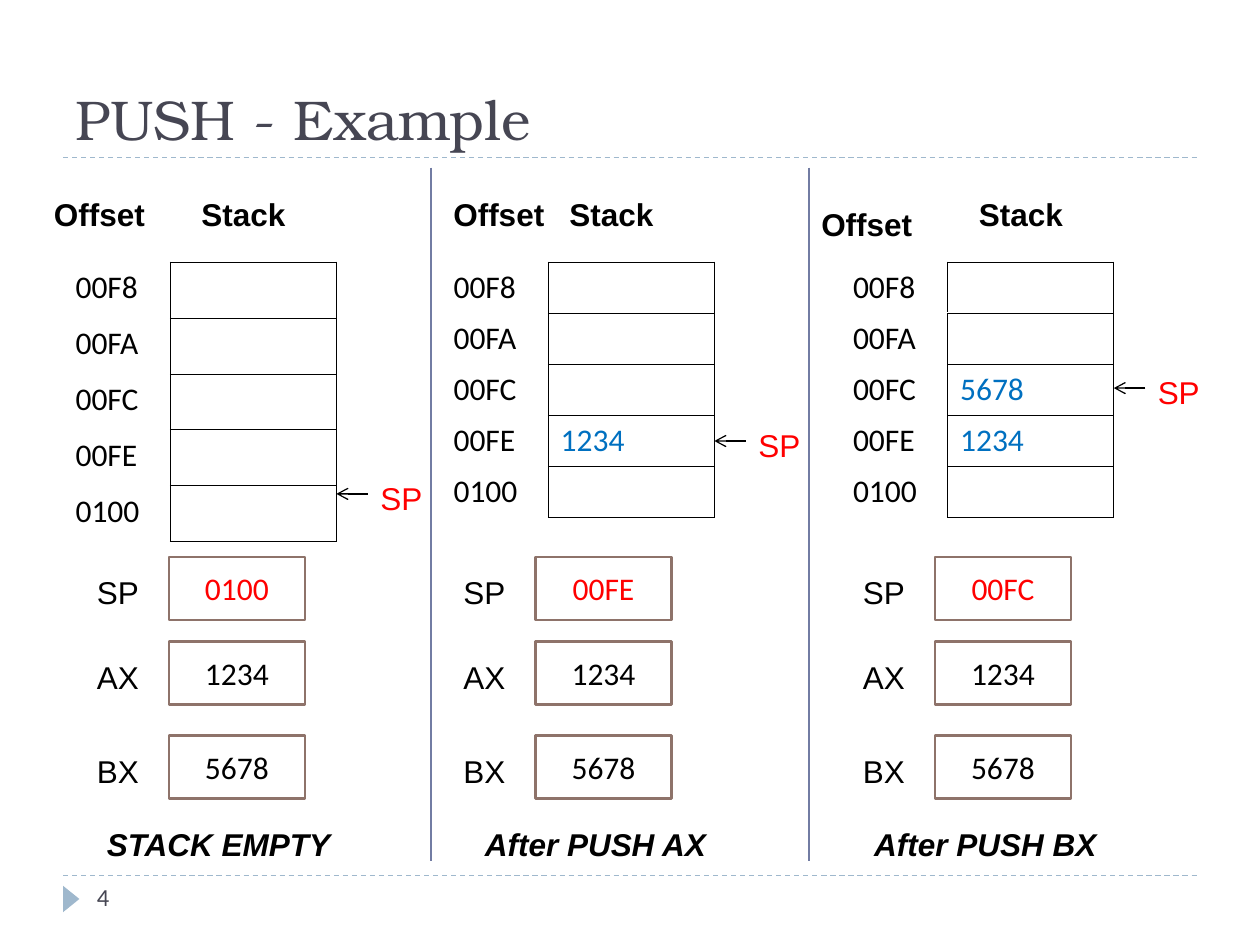
from dataclasses import dataclass, field

from lxml import etree
from pptx import Presentation
from pptx.dml.color import RGBColor
from pptx.enum import dml, shapes, text
from pptx.oxml import ns
from pptx.util import Inches, Pt

BLACK = RGBColor(0x00, 0x00, 0x00)
WHITE = RGBColor(0xFF, 0xFF, 0xFF)
RED = RGBColor(0xFF, 0x00, 0x00)
BLUE = RGBColor(0x00, 0x70, 0xC0)
SLATE = RGBColor(0x46, 0x46, 0x53)
SKY = RGBColor(0x9F, 0xB8, 0xCD)
INDIGO = RGBColor(0x72, 0x7C, 0xA3)
BROWN = RGBColor(0x8E, 0x73, 0x6A)

OFFSETS = ["00F8", "00FA", "00FC", "00FE", "0100"]


@dataclass
class Panel:
    """One stage of the stack and the places of its parts."""
    caption: str
    left: float
    registers_dx: float
    caption_dx: float
    offset_dx: float
    stack_dx: float
    sp: str
    sp_y: float
    row_height: float = 0.406
    heading_y: float = 1.5
    stack: dict = field(default_factory=dict)


PANELS = [
    Panel("STACK EMPTY", 0.5, 0.17, 0.25, -0.17, 1, "0100", 3.92, row_height=0.444),
    Panel("After PUSH AX", 3.5, 0.08, 0.25, 0, 0.92, "00FE", 3.5,
          stack={"00FE": "1234"}),
    Panel("After PUSH BX", 6.67, 0.08, 0.17, -0.25, 1, "00FC", 3.08, heading_y=1.58,
          stack={"00FC": "5678", "00FE": "1234"}),
]


def write(tf, words, font="Arial", size=18, color=BLACK, bold=False, italic=False):
    """Put one formatted line into a text frame."""
    tf.text = words
    f = tf.paragraphs[0].runs[0].font
    f.name, f.size, f.bold, f.italic = font, Pt(size), bold, italic
    f.color.rgb = color


def add_label(parent, words, x, y, w, h=0.4, anchor=text.MSO_ANCHOR.TOP, **style):
    """Add a wrapped text box."""
    tf = parent.add_textbox(Inches(x), Inches(y), Inches(w), Inches(h)).text_frame
    tf.word_wrap = True
    tf.vertical_anchor = anchor
    write(tf, words, **style)


def add_line(parent, x1, y1, x2, y2, color, dashed=False, arrow=False):
    """Add a thin straight line, dashed or with an arrowhead at its end."""
    c = parent.add_connector(shapes.MSO_CONNECTOR.STRAIGHT,
                             Inches(x1), Inches(y1), Inches(x2), Inches(y2))
    c.line.color.rgb = color
    c.line.width = Pt(0.75)
    if dashed:
        c.line.dash_style = dml.MSO_LINE.DASH
    if arrow:
        etree.SubElement(c.line._get_or_add_ln(), ns.qn("a:tailEnd"), type="arrow")
    etree.SubElement(c._element.spPr, ns.qn("a:effectLst"))


def add_border(cell, sides):
    """Draw thin black borders on the given sides of a cell."""
    tc_pr = cell._tc.get_or_add_tcPr()
    for i, side in enumerate(sides):
        ln = etree.Element(ns.qn(f"a:ln{side}"), w=str(Pt(0.45)))
        fill = etree.SubElement(ln, ns.qn("a:solidFill"))
        etree.SubElement(fill, ns.qn("a:srgbClr"), val=str(BLACK))
        tc_pr.insert(i, ln)


def add_frame(s, x, y, w, h):
    """Add the title, the dashed rules and the page mark within a box."""
    add_label(s.shapes, "PUSH - Example", x, y, w, 1.08, text.MSO_ANCHOR.BOTTOM,
              font="TeX Gyre Bonum", size=32, color=SLATE)
    bottom = y + h
    for rule_y in (y + 1.08, bottom):
        add_line(s.shapes, x, rule_y, x + w, rule_y, SKY, dashed=True)
    sp = s.shapes.add_shape(shapes.MSO_SHAPE.ISOSCELES_TRIANGLE, Inches(x - 0.04),
                            Inches(bottom + 0.12), Inches(0.21), Inches(0.13))
    sp.rotation = 90
    sp.shadow.inherit = False
    sp.fill.solid()
    sp.fill.fore_color.rgb = SKY
    sp.line.fill.background()
    add_label(s.shapes, "4", x + 0.17, bottom, 2.17, font="Calibri", size=14, color=SLATE)


def add_stack(s, panel, x, y):
    """Add the table of offsets and stack words."""
    tbl = s.shapes.add_table(len(OFFSETS), 2, Inches(x), Inches(y), Inches(2.17),
                             Inches(panel.row_height * len(OFFSETS))).table
    tbl.first_row = tbl.horz_banding = False
    for col, width in zip(tbl.columns, (0.85, 1.32)):
        col.width = Inches(width)
    for row, offset in zip(tbl.rows, OFFSETS):
        name, value = row.cells
        for cell, sides in ((name, "R"), (value, "LRTB")):
            cell.fill.background()
            add_border(cell, sides)
        write(name.text_frame, offset, font="Calibri")
        if offset in panel.stack:
            write(value.text_frame, panel.stack[offset], font="Calibri", color=BLUE)


def add_registers(s, sp_value, x, y):
    """Add the grouped register names and their value boxes."""
    group = s.shapes.add_group_shape().shapes
    rows = [("SP", sp_value, 0, 0.08, RED), ("AX", "1234", 0.67, 0.08, BLACK),
            ("BX", "5678", 1.42, 0.08, BLACK)]
    for name, value, dy, drop, color in rows:
        add_label(group, name, x, y + dy + drop, 0.6)
        sp = group.add_shape(shapes.MSO_SHAPE.RECTANGLE, Inches(x + 0.67),
                             Inches(y + dy), Inches(1.08), Inches(0.5))
        sp.shadow.inherit = False
        sp.fill.solid()
        sp.fill.fore_color.rgb = WHITE
        sp.line.color.rgb = BROWN
        sp.line.width = Pt(1.5)
        write(sp.text_frame, value, font="Calibri", color=color)
        sp.text_frame.paragraphs[0].alignment = text.PP_ALIGN.CENTER


def add_panel(s, panel, top):
    """Add one stage: headings, stack, pointer, registers and caption."""
    x = panel.left
    add_label(s.shapes, "Offset", x + panel.offset_dx, panel.heading_y, 1, bold=True)
    add_label(s.shapes, "Stack", x + panel.stack_dx, top, 1, bold=True)
    add_stack(s, panel, x, top + 0.58)
    edge = x + 2.17
    add_line(s.shapes, edge + 0.25, panel.sp_y, edge, panel.sp_y, BLACK, arrow=True)
    add_label(s.shapes, "SP", edge + 0.25, panel.sp_y - 0.17, 0.58, color=RED)
    add_registers(s, panel.sp, x + panel.registers_dx, top + 2.92)
    add_label(s.shapes, panel.caption, x + panel.caption_dx, top + 5, 2,
              bold=True, italic=True)


def main():
    """Build the slide and save it."""
    prs = Presentation()
    prs.slide_width, prs.slide_height = Inches(10), Inches(7.5)
    s = prs.slides.add_slide(prs.slide_layouts[6])
    add_frame(s, 0.5, 0.17, 9, 6.78)
    for panel in PANELS:
        add_panel(s, panel, 1.5)
    for x in (3.42, 6.42):
        add_line(s.shapes, x, 1.33, x, 6.83, INDIGO)
    prs.save("out.pptx")


if __name__ == "__main__":
    main()
